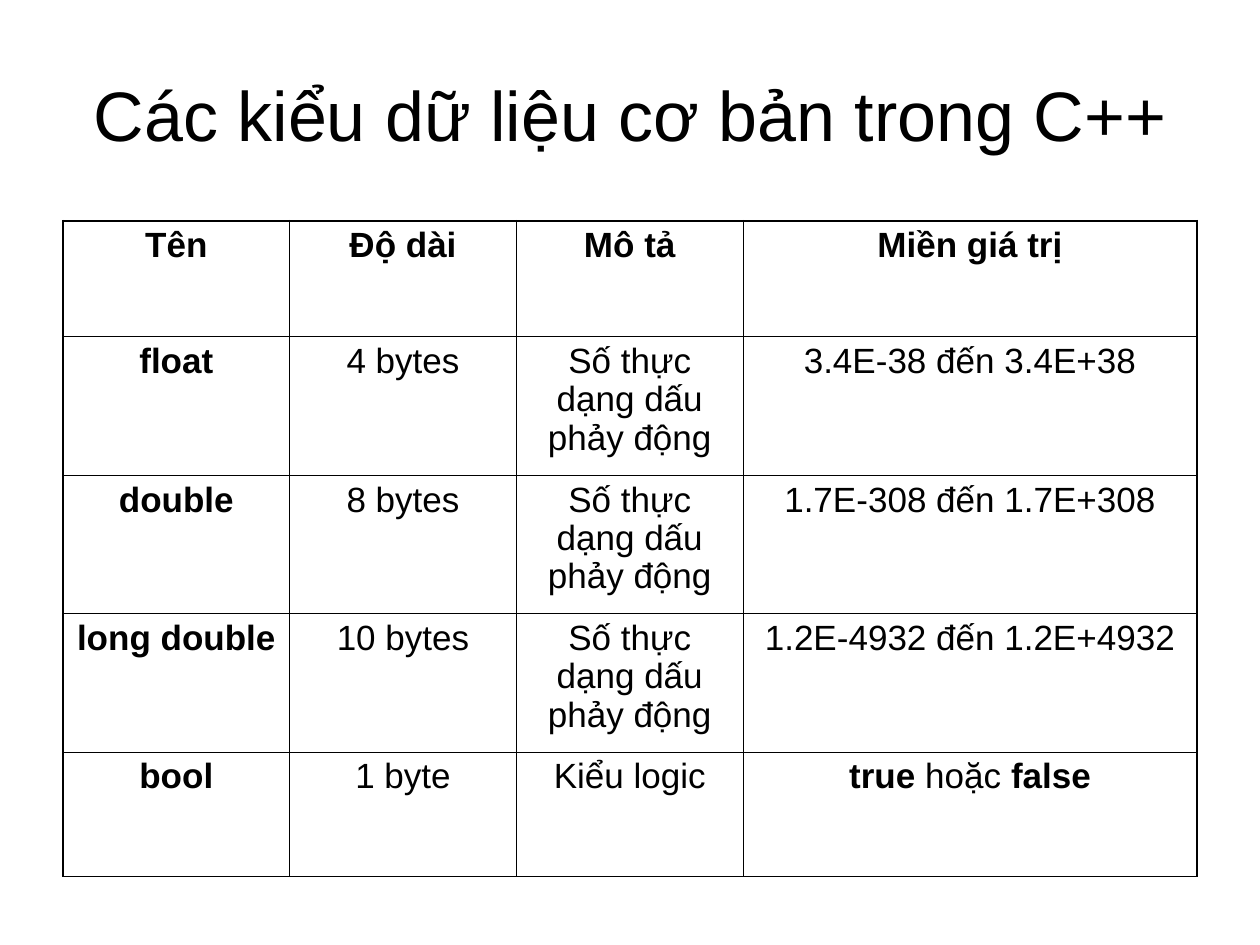
from dataclasses import dataclass

from lxml import etree
from pptx import Presentation
from pptx import util as u
from pptx.dml.color import RGBColor
from pptx.enum import text
from pptx.oxml.ns import qn

COLOURS = {"ink": "000000"}
FONT = "Arial"
INNER_LINE, OUTER_LINE = u.Pt(0.45), u.Pt(1.08)
COLUMN_WIDTHS = [4.57, 4.57, 4.57, 9.15]
ROW_HEIGHTS = [2.34, 2.79, 2.79, 2.79, 2.51]


@dataclass(frozen=True)
class Span:
    text: str
    bold: bool = False


@dataclass(frozen=True)
class DataType:
    name: str
    length: str
    description: str
    value_range: tuple[Span, ...]

    def cells(self) -> list[tuple[Span, ...]]:
        return [(Span(self.name, True),), (Span(self.length),),
                (Span(self.description),), self.value_range]


TITLE = Span("Các kiểu dữ liệu cơ bản trong C++")
HEADINGS = ["Tên", "Độ dài", "Mô tả", "Miền giá trị"]
FLOATING = "Số thực dạng dấu phảy động"
DATA_TYPES = [
    DataType("float", "4 bytes", FLOATING, (Span("3.4E-38 đến 3.4E+38"),)),
    DataType("double", "8 bytes", FLOATING, (Span("1.7E-308 đến 1.7E+308"),)),
    DataType("long double", "10 bytes", FLOATING,
             (Span("1.2E-4932 đến 1.2E+4932"),)),
    DataType("bool", "1 byte", "Kiểu logic",
             (Span("true", True), Span(" hoặc "), Span("false", True))),
]


def write_centred(frame, spans: tuple[Span, ...], size: int) -> None:
    para = frame.paragraphs[0]
    para.alignment = text.PP_ALIGN.CENTER
    para.line_spacing = 0.98
    for span in spans:
        run = para.add_run()
        run.text = span.text
        run.font.name = FONT
        run.font.size = u.Pt(size)
        run.font.bold = span.bold
        run.font.color.rgb = RGBColor.from_string(COLOURS["ink"])


def add_title(page) -> None:
    box = page.shapes.add_textbox(u.Cm(1.27), u.Cm(0.76), u.Cm(22.86), u.Cm(3.18))
    frame = box.text_frame
    frame.word_wrap = True
    frame.vertical_anchor = text.MSO_ANCHOR.MIDDLE
    write_centred(frame, (TITLE,), 40)


def set_borders(cell, outer_sides: dict[str, bool]) -> None:
    """Draw all four sides, thicker where the side lies on the table's edge."""
    properties = cell._tc.get_or_add_tcPr()
    for side, is_outer in outer_sides.items():
        line = etree.SubElement(properties, qn(f"a:ln{side}"),
                                w=str(OUTER_LINE if is_outer else INNER_LINE))
        fill = etree.SubElement(line, qn("a:solidFill"))
        etree.SubElement(fill, qn("a:srgbClr"), val=COLOURS["ink"])


def add_type_table(page) -> None:
    rows = [[(Span(heading, True),) for heading in HEADINGS]]
    rows += [data_type.cells() for data_type in DATA_TYPES]
    last_row, last_column = len(rows) - 1, len(HEADINGS) - 1
    table = page.shapes.add_table(
        len(rows), len(HEADINGS), u.Cm(1.27), u.Cm(4.45),
        u.Cm(sum(COLUMN_WIDTHS)), u.Cm(sum(ROW_HEIGHTS))).table
    table.first_row = table.horz_banding = False
    for column, width in zip(table.columns, COLUMN_WIDTHS):
        column.width = u.Cm(width)
    for row, height in zip(table.rows, ROW_HEIGHTS):
        row.height = u.Cm(height)
    for r, row in enumerate(rows):
        for c, spans in enumerate(row):
            cell = table.cell(r, c)
            set_borders(cell, {"L": c == 0, "R": c == last_column,
                               "T": r == 0, "B": r == last_row})
            cell.fill.background()
            write_centred(cell.text_frame, spans, 20)


def main() -> None:
    deck = Presentation()
    deck.slide_width, deck.slide_height = u.Cm(25.4), u.Cm(19.05)
    page = deck.slides.add_slide(deck.slide_layouts[6])
    add_title(page)
    add_type_table(page)
    deck.save("out.pptx")


if __name__ == "__main__":
    main()
